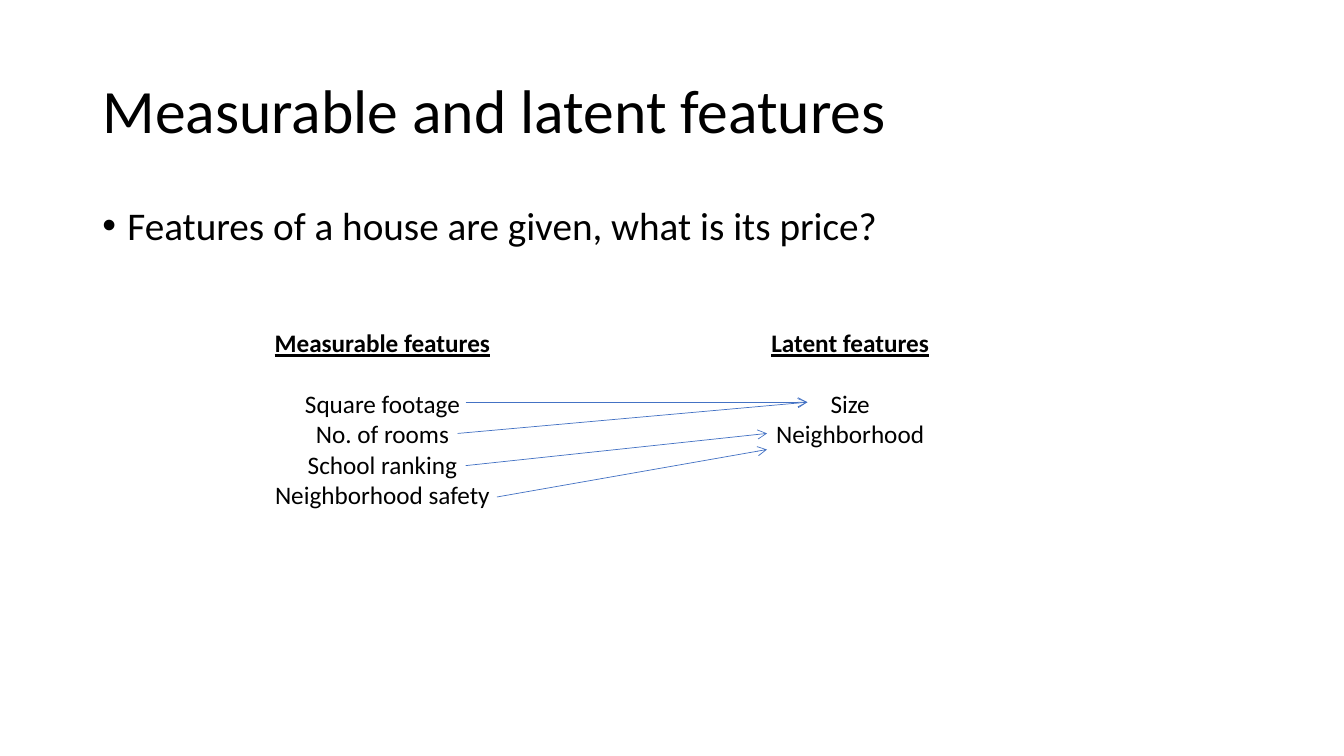
from lxml.etree import SubElement
from pptx import Presentation
from pptx.dml.color import RGBColor
from pptx.enum.shapes import MSO_CONNECTOR
from pptx.enum.text import MSO_ANCHOR, MSO_AUTO_SIZE, PP_ALIGN
from pptx.oxml.ns import qn
from pptx.util import Pt

BLACK = RGBColor(0x00, 0x00, 0x00)
BLUE = RGBColor(0x44, 0x72, 0xC4)
FONT = "Calibri"
MEASURABLE = ["Square footage", "No. of rooms", "School ranking", "Neighborhood safety"]
LATENT = ["Size", "Neighborhood"]
ARROWS = [
    (332.6, 287.3, 576.7, 287.3),
    (326.9, 309.6, 576.7, 287.3),
    (332.6, 332.6, 547.9, 309.6),
    (355, 355, 547.9, 321.1),
]


def format_runs(p, size, bold=False, underline=False):
    for r in p.runs:
        r.font.name = FONT
        r.font.size = Pt(size)
        r.font.color.rgb = BLACK
        r.font.bold = bold
        r.font.underline = underline


def add_text_box(s, left, top, width, height):
    tf = s.shapes.add_textbox(Pt(left), Pt(top), Pt(width), Pt(height)).text_frame
    tf.word_wrap = True
    return tf


def set_title(s, text):
    sp = s.shapes.title
    sp.left, sp.top, sp.width, sp.height = Pt(66), Pt(28.75), Pt(828), Pt(104.4)
    tf = sp.text_frame
    tf.text = text
    tf.auto_size = MSO_AUTO_SIZE.NONE
    tf.vertical_anchor = MSO_ANCHOR.MIDDLE
    p = tf.paragraphs[0]
    p.alignment = PP_ALIGN.LEFT
    p.line_spacing = 0.9
    format_runs(p, 44)


def add_bullet(s, text):
    p = add_text_box(s, 66, 143.75, 828, 342.6).paragraphs[0]
    p.text = text
    p.line_spacing = 0.9
    p.space_before = Pt(10)
    format_runs(p, 28)
    pPr = p._p.get_or_add_pPr()
    pPr.set("marL", str(Pt(18)))
    pPr.set("indent", str(Pt(-18)))
    SubElement(pPr, qn("a:buFont"), typeface="Arial")
    SubElement(pPr, qn("a:buChar"), char="•")


def add_feature_list(s, left, height, heading, features):
    tf = add_text_box(s, left, 230.4, 221, height)
    tf.text = "\n".join([heading] + features)
    tf.auto_size = MSO_AUTO_SIZE.SHAPE_TO_FIT_TEXT
    for i, p in enumerate(tf.paragraphs):
        p.alignment = PP_ALIGN.CENTER
        format_runs(p, 18, bold=i == 0, underline=i == 0)
    tf.paragraphs[0].space_after = Pt(22)


def add_arrow(s, x1, y1, x2, y2):
    cx = s.shapes.add_connector(MSO_CONNECTOR.STRAIGHT, Pt(x1), Pt(y1), Pt(x2), Pt(y2))
    cx.line.color.rgb = BLUE
    cx.line.width = Pt(0.5)
    SubElement(cx.line._get_or_add_ln(), qn("a:tailEnd"), type="arrow")
    SubElement(cx._element.spPr, qn("a:effectLst"))


def main():
    """Build the slide on measurable and latent features."""
    prs = Presentation()
    prs.slide_width, prs.slide_height = Pt(960), Pt(540)
    s = prs.slides.add_slide(prs.slide_layouts[5])
    set_title(s, "Measurable and latent features")
    add_bullet(s, "Features of a house are given, what is its price?")
    add_feature_list(s, 162.7, 138.2, "Measurable features", MEASURABLE)
    add_feature_list(s, 496.8, 94.3, "Latent features", LATENT)
    for ends in ARROWS:
        add_arrow(s, *ends)
    prs.save("out.pptx")


main()
